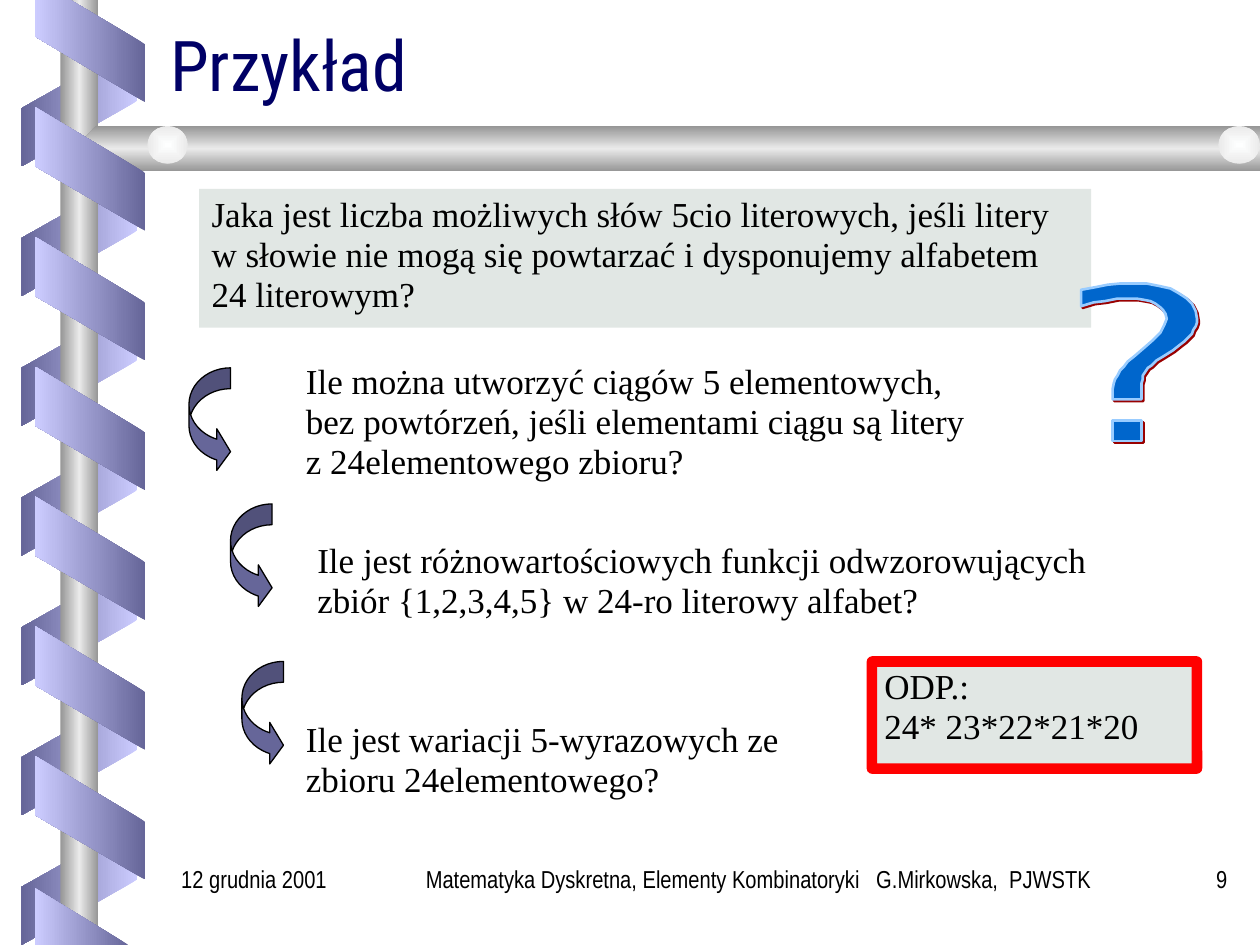
import pptx
import pptx.dml.color
import pptx.enum.shapes
import pptx.enum.text
import pptx.oxml.ns
import pptx.util
from lxml import etree

Inches = pptx.util.Inches
SHAPE = pptx.enum.shapes.MSO_SHAPE
ALIGN = pptx.enum.text.PP_ALIGN
ANCHOR = pptx.enum.text.MSO_ANCHOR

COLORS = {
    "black": "000000", "title": "000066", "panel": "E1E7E4", "red": "FF0000",
    "dark": "666699", "light": "CCCCFF", "steel": "969696", "shine": "EAEAEA",
    "pearl": "FEFFFF", "mark": "0066CC", "mark_edge": "99CCFF", "mark_shadow": "990000",
}

TITLE = ("Przykład", (1.25, 0.1, 8.5, 0.78))
FOOTERS = [
    ("12 grudnia 2001", (1.34, 6.83, 1.74, 0.32), ALIGN.LEFT),
    ("Matematyka Dyskretna, Elementy Kombinatoryki   G.Mirkowska,  PJWSTK ",
     (3.17, 6.83, 5.75, 0.32), ALIGN.CENTER),
    ("9", (9, 6.83, 0.84, 0.32), ALIGN.RIGHT),
]
PANELS = [
    ("Jaka jest liczba możliwych słów 5cio literowych, jeśli litery w słowie nie mogą się "
     "powtarzać i dysponujemy alfabetem 24 literowym?", (1.58, 1.5, 7.08, 1.1), None),
    ("ODP.: \v24* 23*22*21*20", (6.92, 5.25, 2.58, 0.85), "red"),
]
QUESTIONS = [
    ("Ile można utworzyć ciągów 5 elementowych, bez powtórzeń, jeśli elementami ciągu są "
     "litery z 24elementowego zbioru?", (2.33, 2.83, 5.5, 1.05), (1.5, 2.92)),
    ("Ile jest różnowartościowych funkcji odwzorowujących zbiór {1,2,3,4,5} w 24-ro "
     "literowy alfabet?", (2.42, 4.25, 6.75, 0.74), (1.83, 4)),
    ("Ile jest wariacji 5-wyrazowych ze zbioru 24elementowego?",
     (2.33, 5.67, 4.25, 0.74), (1.92, 5.25)),
]

COIL_PITCH = 1.03
BACK_COIL = [(1.09, 0.8), (1.09, 0.34), (0.17, 0.86), (0.17, 1.32)]
FRONT_COIL = [(0.28, 1.32), (0.28, 0.85), (1.15, 1.37), (1.15, 1.83)]
TOP_COIL = [(0.28, 0), (0.28, 0.29), (1.15, 0.81), (1.15, 0.35), (0.56, 0)]
BOTTOM_COIL = [(1.02, 7.5), (0.28, 7.05), (0.28, 7.5)]
POLE = [(0.48, 0), (0.48, 7.5), (0.78, 7.5), (0.78, 0)]
BEAM = [(10, 1), (0.76, 1), (0.6, 1.18), (0.76, 1.36), (10, 1.36)]
KNOBS = [(1.17, 1, 0.32, 0.3), (9.67, 1, 0.33, 0.3)]
HOOK = [
    (8.83, 3.17), (8.83, 3.09), (8.84, 3.04), (8.85, 3.01), (8.87, 2.98), (8.89, 2.94),
    (8.92, 2.91), (8.95, 2.87), (9, 2.83), (9.07, 2.77), (9.15, 2.7), (9.21, 2.64),
    (9.24, 2.58), (9.26, 2.53), (9.25, 2.49), (9.23, 2.46), (9.21, 2.44), (9.17, 2.41),
    (9.13, 2.39), (9.08, 2.38), (9.02, 2.37), (8.96, 2.37), (8.87, 2.37), (8.77, 2.39),
    (8.68, 2.4), (8.58, 2.43), (8.58, 2.3), (8.69, 2.28), (8.79, 2.26), (8.89, 2.25),
    (8.99, 2.25), (9.1, 2.25), (9.2, 2.27), (9.29, 2.29), (9.36, 2.33), (9.42, 2.37),
    (9.46, 2.41), (9.49, 2.47), (9.5, 2.53), (9.5, 2.56), (9.49, 2.59), (9.47, 2.62),
    (9.46, 2.65), (9.43, 2.68), (9.4, 2.71), (9.36, 2.74), (9.31, 2.78), (9.23, 2.83),
    (9.18, 2.86), (9.14, 2.9), (9.11, 2.92), (9.09, 2.95), (9.07, 2.98), (9.07, 3.01),
    (9.06, 3.04), (9.06, 3.17),
]
DOT = [(8.83, 3.5), (8.83, 3.34), (9.06, 3.34), (9.06, 3.5)]


def rgb(name):
    return pptx.dml.color.RGBColor.from_string(COLORS[name])


def add_element(parent, tag, **attributes):
    return etree.SubElement(parent, pptx.oxml.ns.qn(tag), **attributes)


def place(shape, box):
    shape.left, shape.top, shape.width, shape.height = map(Inches, box)


def style(shape, fill=None, line=None, line_width=0.75):
    shape.shadow.inherit = False
    if fill:
        shape.fill.solid()
        shape.fill.fore_color.rgb = rgb(fill)
    if line:
        shape.line.color.rgb = rgb(line)
        shape.line.width = pptx.util.Pt(line_width)
    else:
        shape.line.fill.background()
    return shape


def set_gradient(shape, colors, angle=None):
    style(shape).fill.gradient()
    gradient = shape._element.spPr.find(pptx.oxml.ns.qn("a:gradFill"))
    gradient.clear()
    stops = add_element(gradient, "a:gsLst")
    for index, color in enumerate(colors):
        position = 100000 * index // (len(colors) - 1)
        stop = add_element(stops, "a:gs", pos=str(position))
        add_element(stop, "a:srgbClr", val=COLORS[color])
    if angle is None:
        center = add_element(gradient, "a:path", path="rect")
        add_element(center, "a:fillToRect", l="50000", t="50000", r="50000", b="50000")
    else:
        add_element(gradient, "a:lin", ang=str(angle * 60000), scaled="0")


def add_polygon(slide, *outlines):
    builder = None
    for outline in outlines:
        start, *points = [(Inches(x), Inches(y)) for x, y in outline]
        if builder is None:
            builder = slide.shapes.build_freeform(*start)
        else:
            builder.move_to(*start)
        builder.add_line_segments(points, close=True)
    return builder.convert_to_shape()


def shift(points, distance):
    return [(x, y + distance) for x, y in points]


def write_text(shape, text, size=20, font="Times New Roman", color="black",
               align=ALIGN.LEFT, anchor=ANCHOR.TOP, spacing=0.95):
    frame = shape.text_frame
    frame.word_wrap = True
    frame.auto_size = pptx.enum.text.MSO_AUTO_SIZE.NONE
    frame.vertical_anchor = anchor
    frame.text = text
    paragraph = frame.paragraphs[0]
    paragraph.alignment = align
    paragraph.line_spacing = spacing
    for run in paragraph.runs:
        run.font.size = pptx.util.Pt(size)
        run.font.name = font
        run.font.color.rgb = rgb(color)


def add_frame(slide):
    for index in range(7):
        coil = add_polygon(slide, shift(BACK_COIL, index * COIL_PITCH))
        set_gradient(coil, ["light", "dark"], 180)
    for points, angle in [(POLE, 180), (BEAM, 90)]:
        set_gradient(add_polygon(slide, points), ["steel", "shine", "steel"], angle)
    for box in KNOBS:
        knob = slide.shapes.add_shape(SHAPE.OVAL, *map(Inches, box))
        set_gradient(knob, ["pearl", "shine"])
    front_coils = [shift(FRONT_COIL, index * COIL_PITCH) for index in range(6)]
    for points in [TOP_COIL, *front_coils, BOTTOM_COIL]:
        set_gradient(add_polygon(slide, points), ["dark", "light"], 180)


def add_question_mark(slide):
    mark = style(add_polygon(slide, HOOK, DOT), "mark", "mark_edge", 1.5)
    effects = mark._element.spPr.find(pptx.oxml.ns.qn("a:effectLst"))
    shadow = add_element(effects, "a:outerShdw", blurRad="0", dist="17780",
                         dir="2700000", algn="ctr", rotWithShape="0")
    add_element(shadow, "a:srgbClr", val=COLORS["mark_shadow"])


def main():
    """Build the combinatorics example slide."""
    presentation = pptx.Presentation()
    presentation.slide_width, presentation.slide_height = Inches(10), Inches(7.5)
    slide = presentation.slides.add_slide(presentation.slide_layouts[5])
    add_frame(slide)

    title, box = TITLE
    place(slide.shapes.title, box)
    write_text(slide.shapes.title, title, size=40, font="Roboto Condensed",
               color="title", anchor=ANCHOR.BOTTOM, spacing=0.8)
    for text, box, align in FOOTERS:
        footer = slide.shapes.add_textbox(*map(Inches, box))
        write_text(footer, text, size=14, font="Arial Narrow", align=align, spacing=0.93)
    for text, box, line in PANELS:
        panel = slide.shapes.add_shape(SHAPE.ROUNDED_RECTANGLE, *map(Inches, box))
        panel.adjustments[0] = 0.002
        style(panel, "panel", line, 6)
        write_text(panel, text)
    for text, box, corner in QUESTIONS:
        write_text(slide.shapes.add_textbox(*map(Inches, box)), text)
        arrow = slide.shapes.add_shape(SHAPE.CURVED_RIGHT_ARROW,
                                       *map(Inches, (*corner, 0.33, 0.83)))
        for index, value in enumerate([0.5, 1, 0.33]):
            arrow.adjustments[index] = value
        style(arrow, "dark", "black")
    add_question_mark(slide)
    presentation.save("out.pptx")


if __name__ == "__main__":
    main()
